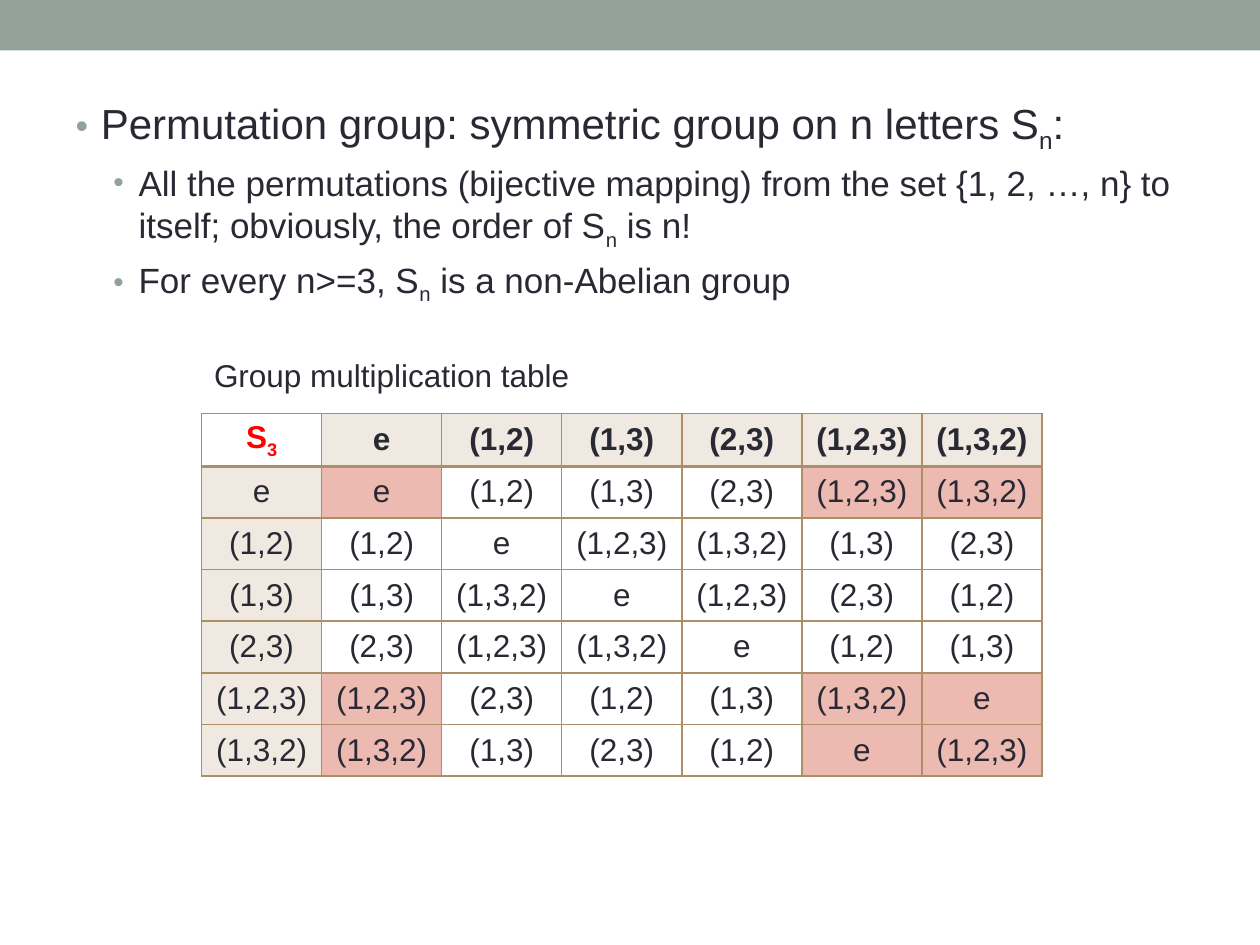
import pptx
import pptx.util
import pptx.dml.color
import pptx.enum.shapes
import pptx.enum.text
import pptx.oxml
from pptx.oxml.ns import nsdecls, qn

# A pair of ~ marks encloses a subscript.
BULLETS = [
    (0, "Permutation group: symmetric group on n letters S~n~:"),
    (1, "All the permutations (bijective mapping) from the set {1, 2, …, n} to itself; "
        "obviously, the order of S~n~ is n!"),
    (1, "For every n>=3, S~n~ is a non-Abelian group"),
]
LEVELS = [  # size, space before, left margin, hanging indent
    dict(size=24, before=5, margin=0.2, hang=0.2),
    dict(size=20, before=4, margin=0.5, hang=0.2),
]
CAPTION = "Group multiplication table"
PRODUCTS = [row.split() for row in (
    "S~3~ e (1,2) (1,3) (2,3) (1,2,3) (1,3,2)",
    "e e (1,2) (1,3) (2,3) (1,2,3) (1,3,2)",
    "(1,2) (1,2) e (1,2,3) (1,3,2) (1,3) (2,3)",
    "(1,3) (1,3) (1,3,2) e (1,2,3) (2,3) (1,2)",
    "(2,3) (2,3) (1,2,3) (1,3,2) e (1,2) (1,3)",
    "(1,2,3) (1,2,3) (2,3) (1,2) (1,3) (1,3,2) e",
    "(1,3,2) (1,3,2) (1,3) (2,3) (1,2) e (1,2,3)",
)]
SUBGROUP = {"e", "(1,2,3)", "(1,3,2)"}

FONT = "Arial"
INK, RED, SAGE = "292934", "FF0000", "93A299"
HEADER, HIGHLIGHT, BORDER = "EFE9E1", "EDBAB1", "AD8F67"
TABLE_LEFT, TABLE_TOP, TABLE_WIDTH, ROW_HEIGHT = 1.6, 3.28, 6.67, 0.41

inch = pptx.util.Inches


def color(value):
    return pptx.dml.color.RGBColor.from_string(value)


def write(para, text, size=18, ink=INK, bold=False, align=None):
    """Fill a paragraph, lowering the parts between ~ marks."""
    para.alignment = align
    for index, part in enumerate(text.split("~")):
        if not part:
            continue
        span = para.add_run()
        span.text = part
        span.font.name = FONT
        span.font.size = pptx.util.Pt(size)
        span.font.bold = bold
        span.font.color.rgb = color(ink)
        if index % 2:
            span.font._element.set("baseline", "-25000")


def add_bullet(para, margin, hang):
    properties = para._p.get_or_add_pPr()
    properties.set("marL", str(inch(margin)))
    properties.set("indent", str(-inch(hang)))
    for xml in (f'<a:buClr {nsdecls("a")}><a:srgbClr val="{SAGE}"/></a:buClr>',
                f'<a:buSzPct {nsdecls("a")} val="85000"/>',
                f'<a:buFont {nsdecls("a")} typeface="{FONT}"/>',
                f'<a:buChar {nsdecls("a")} char="•"/>'):
        properties.append(pptx.oxml.parse_xml(xml))


def add_borders(cell, **widths):
    """Draw the cell's edges; widths are points keyed by L, R, T and B."""
    properties = cell._tc.get_or_add_tcPr()
    for side, width in widths.items():
        properties.append(pptx.oxml.parse_xml(
            f'<a:ln{side} {nsdecls("a")} w="{pptx.util.Pt(width)}"><a:solidFill>'
            f'<a:srgbClr val="{BORDER}"/></a:solidFill></a:ln{side}>'))


def cell_fill(row, column):
    if row == column == 0:
        return None
    if row == 0 or column == 0:
        return HEADER
    return HIGHLIGHT if {PRODUCTS[row][0], PRODUCTS[0][column]} <= SUBGROUP else None


def add_bar(page, width):
    bar = page.shapes.add_shape(pptx.enum.shapes.MSO_SHAPE.RECTANGLE, 0, 0, width, inch(0.4))
    bar.shadow.inherit = False
    bar.fill.solid()
    bar.fill.fore_color.rgb = color(SAGE)
    bar.line.fill.background()


def add_body(page):
    body = page.placeholders[1]
    body.left, body.top, body.width, body.height = map(inch, (0.5, 0.68, 9, 6.4))
    frame = body.text_frame
    frame.auto_size = pptx.enum.text.MSO_AUTO_SIZE.NONE
    frame.margin_top = inch(0.09)
    for index, (level, text) in enumerate(BULLETS):
        para = frame.add_paragraph() if index else frame.paragraphs[0]
        style = LEVELS[level]
        para.level = level
        add_bullet(para, style["margin"], style["hang"])
        para.space_before = pptx.util.Pt(style["before"] if index else 0)
        write(para, text, size=style["size"])


def add_products(page):
    rows, columns = len(PRODUCTS), len(PRODUCTS[0])
    table = page.shapes.add_table(rows, columns, inch(TABLE_LEFT), inch(TABLE_TOP),
                                  inch(TABLE_WIDTH), inch(ROW_HEIGHT * rows)).table
    table.first_row = table.horz_banding = False
    for column in table.columns:
        column.width = inch(TABLE_WIDTH / columns)
    for row, texts in enumerate(PRODUCTS):
        for column, text in enumerate(texts):
            cell = table.cell(row, column)
            cell.vertical_anchor = pptx.enum.text.MSO_ANCHOR.MIDDLE
            add_borders(cell, L=1, R=1, T=2 if row == 1 else 1, B=2 if row == 0 else 1)
            fill = cell_fill(row, column)
            if fill:
                cell.fill.solid()
                cell.fill.fore_color.rgb = color(fill)
            else:
                cell.fill.background()
            write(cell.text_frame.paragraphs[0], text, bold=row == 0,
                  ink=RED if row == column == 0 else INK,
                  align=pptx.enum.text.PP_ALIGN.CENTER)


def add_caption(page):
    box = page.shapes.add_textbox(*map(inch, (TABLE_LEFT, 2.78, 3.05, 0.4)))
    box.text_frame.word_wrap = False
    write(box.text_frame.paragraphs[0], CAPTION)


def main():
    deck = pptx.Presentation()
    deck.slide_width, deck.slide_height = inch(10), inch(7.5)
    page = deck.slides.add_slide(deck.slide_layouts[1])
    title = page.shapes.title._element
    title.getparent().remove(title)
    add_bar(page, deck.slide_width)
    add_body(page)
    add_products(page)
    add_caption(page)
    deck.save("out.pptx")


if __name__ == "__main__":
    main()
